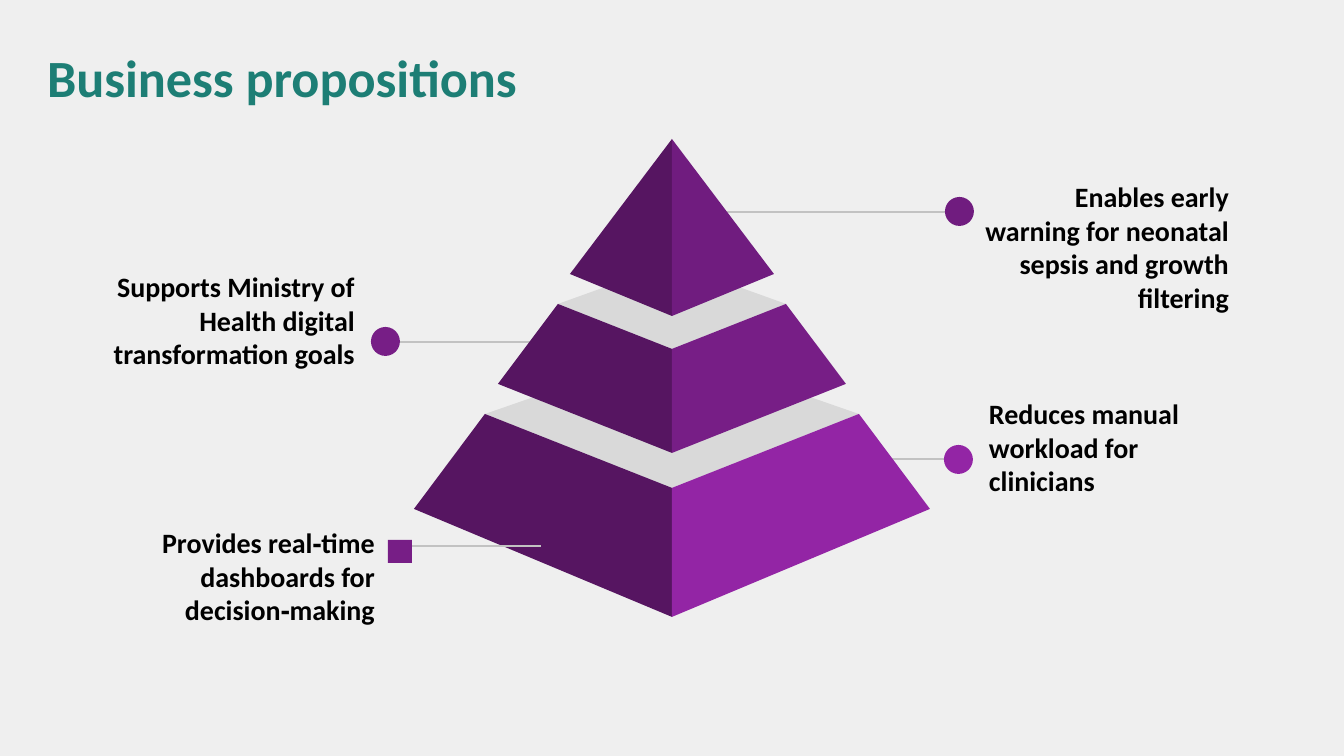
"""Build the business propositions slide: a three-tier pyramid with four callouts."""
from dataclasses import dataclass

from lxml.etree import SubElement
from pptx import Presentation
from pptx.dml.color import RGBColor
from pptx.enum.shapes import MSO_CONNECTOR, MSO_SHAPE
from pptx.enum.text import MSO_ANCHOR, PP_ALIGN
from pptx.oxml.ns import qn
from pptx.util import Pt


@dataclass(frozen=True)
class Theme:
    font: str = "Calibri"
    background: str = "EFEFEF"
    title: str = "1D7E75"
    text: str = "000000"
    line: str = "C2C2C2"
    shade: str = "561561"
    ledge: str = "D9D9D9"
    top: str = "701C7F"
    middle: str = "771E86"
    bottom: str = "9325A5"
    title_size: int = 28
    label_size: int = 15
    line_width: float = 0.75


THEME = Theme()
SCALE = 914400 / 134.4
WIDTH, HEIGHT = 1344, 756
CENTER = WIDTH // 2
INSET = 13
LABEL_WIDTH, LABEL_HEIGHT = 274, 203

TITLE = "Business propositions"
TITLE_BOX = (34, 32, 560, 90)

TIERS = [
    {"color": THEME.bottom, "face": [(187, 414), (258, 509), (0, 617), (0, 488)], "back": 349},
    {"color": THEME.middle, "face": [(114, 304), (174, 384), (0, 453), (0, 349)], "back": 263},
    {"color": THEME.top, "face": [(0, 139), (102, 274), (0, 316)], "back": None},
]

CIRCLE, SQUARE = MSO_SHAPE.OVAL, MSO_SHAPE.RECTANGLE
LEFT, RIGHT = PP_ALIGN.LEFT, PP_ALIGN.RIGHT
BACK_CALLOUTS = [
    {"text": "Reduces manual workload for clinicians", "label": (976, 447), "align": LEFT,
     "line": (887, 959, 459), "marker": (CIRCLE, 944, 445, 29, 29), "color": THEME.bottom},
    {"text": "Supports Ministry of Health digital transformation goals", "label": (94, 320), "align": RIGHT,
     "line": (533, 385, 342), "marker": (CIRCLE, 371, 327, 29, 29), "color": THEME.middle},
    {"text": "Enables early warning for neonatal sepsis and growth filtering", "label": (968, 247), "align": RIGHT,
     "line": (722, 959, 212), "marker": (CIRCLE, 945, 197, 29, 29), "color": THEME.top},
]
FRONT_CALLOUTS = [
    {"text": "Provides real‑time dashboards for decision‑making", "label": (114, 576), "align": RIGHT,
     "line": (541, 388, 546), "marker": (SQUARE, 388, 540, 24, 23), "color": THEME.middle},
]


def px(*lengths):
    return [round(length * SCALE) for length in lengths]


def paint(shape, color):
    shape.shadow.inherit = False
    shape.fill.solid()
    shape.fill.fore_color.rgb = RGBColor.from_string(color)
    shape.line.fill.background()


def write(shape, text, size, color, align, anchor):
    frame = shape.text_frame
    frame.text = text
    frame.word_wrap = True
    frame.vertical_anchor = anchor
    frame.margin_left = frame.margin_right = frame.margin_top = frame.margin_bottom = px(INSET)[0]
    paragraph = frame.paragraphs[0]
    paragraph.alignment = align
    paragraph.line_spacing = 1.0
    paragraph.space_before = Pt(0)
    font = paragraph.runs[0].font
    font.name, font.size, font.bold = THEME.font, Pt(size), True
    font.color.rgb = RGBColor.from_string(color)


def add_title(slide):
    title = slide.shapes.title
    title.left, title.top, title.width, title.height = px(*TITLE_BOX)
    write(title, TITLE, THEME.title_size, THEME.title, LEFT, MSO_ANCHOR.TOP)


def add_callout(slide, callout):
    start, end, y = callout["line"]
    connector = slide.shapes.add_connector(MSO_CONNECTOR.STRAIGHT, *px(start, y, end, y))
    connector.line.color.rgb = RGBColor.from_string(THEME.line)
    connector.line.width = Pt(THEME.line_width)
    SubElement(connector._element.spPr, qn("a:effectLst"))
    left, middle = callout["label"]
    label = slide.shapes.add_textbox(*px(left, middle - LABEL_HEIGHT / 2, LABEL_WIDTH, LABEL_HEIGHT))
    write(label, callout["text"], THEME.label_size, THEME.text, callout["align"], MSO_ANCHOR.MIDDLE)
    kind, *box = callout["marker"]
    paint(slide.shapes.add_shape(kind, *px(*box)), callout["color"])


def add_polygon(slide, points, color):
    corners = [px(CENTER + x, y) for x, y in points]
    builder = slide.shapes.build_freeform(*corners[0], scale=1.0)
    builder.add_line_segments(corners[1:], close=True)
    paint(builder.convert_to_shape(), color)


def add_tier(slide, tier):
    face = tier["face"]
    mirrored = [(-x, y) for x, y in face]
    if tier["back"]:
        add_polygon(slide, [mirrored[0], face[-1], face[0], (0, tier["back"])], THEME.ledge)
    add_polygon(slide, mirrored, THEME.shade)
    add_polygon(slide, face, tier["color"])


def main():
    presentation = Presentation()
    presentation.slide_width, presentation.slide_height = px(WIDTH, HEIGHT)
    slide = presentation.slides.add_slide(presentation.slide_layouts[5])
    slide.background.fill.solid()
    slide.background.fill.fore_color.rgb = RGBColor.from_string(THEME.background)
    add_title(slide)
    for callout in BACK_CALLOUTS:
        add_callout(slide, callout)
    for tier in TIERS:
        add_tier(slide, tier)
    for callout in FRONT_CALLOUTS:
        add_callout(slide, callout)
    presentation.save("out.pptx")


if __name__ == "__main__":
    main()
